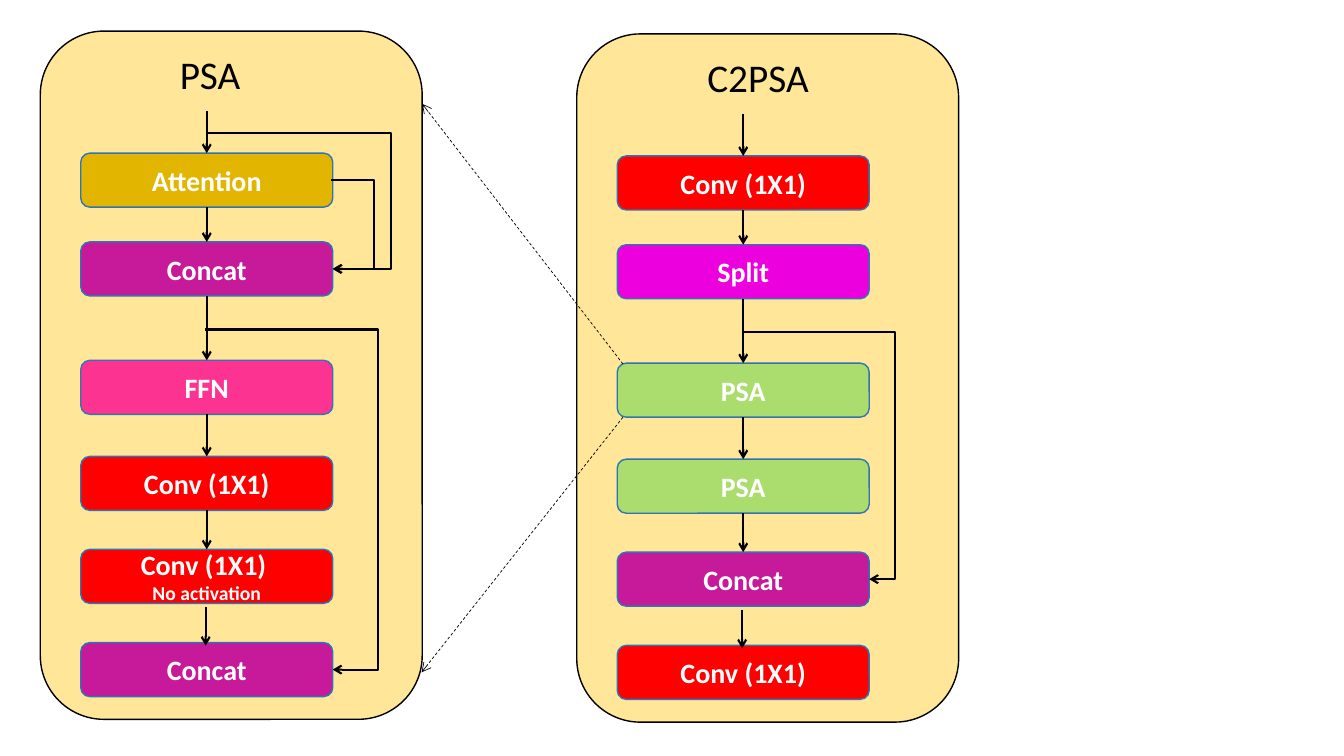
"""Build a slide that shows the PSA and C2PSA blocks side by side."""
from dataclasses import dataclass
from itertools import pairwise

from lxml.etree import SubElement
from pptx import Presentation
from pptx.dml.color import RGBColor
from pptx.enum.dml import MSO_LINE
from pptx.enum.shapes import MSO_CONNECTOR as Link, MSO_SHAPE as Preset
from pptx.enum.text import MSO_ANCHOR as Anchor, PP_ALIGN as Align
from pptx.oxml.ns import qn
from pptx.util import Pt

PANEL_WIDTH, PANEL_HEIGHT = 272.8, 491.6
LAYER_INDENT, LAYER_WIDTH, LAYER_HEIGHT = 28.9, 180, 38.6
TRUNK = LAYER_INDENT + LAYER_WIDTH / 2
LAYER_RIGHT = LAYER_INDENT + LAYER_WIDTH
ROW_TOPS = (87.2, 150.6, 235.2, 303.8, 370.2, 436.8)
CONV, CONCAT, PSA = "FF0000", "C61A9B", "AADC6E"


@dataclass(frozen=True)
class Layer:
    label: str
    color: str
    note: str = ""


@dataclass(frozen=True)
class Skip:
    start_x: float
    start_y: float
    lane: float
    target_row: int


@dataclass(frozen=True)
class Panel:
    title: str
    left: float
    top: float
    title_width: float
    layers: tuple[Layer, ...]
    skips: tuple[Skip, ...]


PANELS = (
    Panel("PSA", 28.8, 22.2, 83.5, (
        Layer("Attention", "E2B500"),
        Layer("Concat", CONCAT),
        Layer("FFN", "FD3392"),
        Layer("Conv (1X1)", CONV),
        Layer("Conv (1X1) ", CONV, "No activation"),
        Layer("Concat", CONCAT),
    ), (
        Skip(TRUNK, 72.8, 250.6, 1),
        Skip(LAYER_RIGHT - 1, ROW_TOPS[0] + LAYER_HEIGHT / 2, 238.6, 1),
        Skip(TRUNK - 1, 213.2, 241.2, 5),
    )),
    Panel("C2PSA", 412, 24.2, 100, (
        Layer("Conv (1X1)", CONV),
        Layer("Split", "EC00DE"),
        Layer("PSA", PSA),
        Layer("PSA", PSA),
        Layer("Concat", CONCAT),
        Layer("Conv (1X1)", CONV),
    ), (Skip(TRUNK - 1, 213.2, 227.4, 4),)),
)


def rgb(value: str) -> RGBColor:
    return RGBColor.from_string(value)


def write(para, text: str, *, size: float, color: str, bold: bool = False) -> None:
    para.alignment = Align.CENTER
    span = para.add_run()
    span.text = text
    span.font.name, span.font.size, span.font.bold = "Calibri", Pt(size), bold
    span.font.color.rgb = rgb(color)


def add_box(page, left: float, top: float, width: float, height: float,
            fill: str, outline: str):
    box = page.shapes.add_shape(Preset.ROUNDED_RECTANGLE,
                                Pt(left), Pt(top), Pt(width), Pt(height))
    box.shadow.inherit = False
    box.fill.solid()
    box.fill.fore_color.rgb = rgb(fill)
    box.line.color.rgb = rgb(outline)
    box.line.width = Pt(1)
    return box


def add_arrow(page, start: tuple[float, float], end: tuple[float, float], *,
              kind=Link.STRAIGHT, weight: float = 1.5, dashed: bool = False):
    arrow = page.shapes.add_connector(kind, *map(Pt, start + end))
    arrow.line.color.rgb = rgb("000000")
    arrow.line.width = Pt(weight)
    if dashed:
        arrow.line.dash_style = MSO_LINE.DASH
    SubElement(arrow.line._get_or_add_ln(), qn("a:tailEnd"), type="arrow")
    SubElement(arrow._element.spPr, qn("a:effectLst"))
    return arrow


def add_layer(page, panel: Panel, layer: Layer, row_top: float):
    box = add_box(page, panel.left + LAYER_INDENT, panel.top + row_top,
                  LAYER_WIDTH, LAYER_HEIGHT, layer.color, "2E75B6")
    frame = box.text_frame
    frame.vertical_anchor = Anchor.MIDDLE
    write(frame.paragraphs[0], layer.label, size=20, color="FFFFFF", bold=True)
    if layer.note:
        write(frame.add_paragraph(), layer.note, size=14, color="FFFFFF", bold=True)
    return box


def add_skip(page, panel: Panel, skip: Skip) -> None:
    target_y = ROW_TOPS[skip.target_row] + LAYER_HEIGHT / 2
    arrow = add_arrow(page, (panel.left + skip.start_x, panel.top + skip.start_y),
                      (panel.left + LAYER_RIGHT, panel.top + target_y), kind=Link.ELBOW)
    bend = (skip.lane - skip.start_x) / (LAYER_RIGHT - skip.start_x)
    guides = arrow._element.spPr.find(qn("a:prstGeom")).get_or_add_avLst()
    SubElement(guides, qn("a:gd"), name="adj1", fmla=f"val {round(bend * 100000)}")


def add_panel(page, panel: Panel) -> None:
    add_box(page, panel.left, panel.top, PANEL_WIDTH, PANEL_HEIGHT, "FFE699", "000000")
    title = page.shapes.add_textbox(Pt(panel.left + 79.5), Pt(panel.top + 10.4),
                                    Pt(panel.title_width), Pt(41.2))
    title.text_frame.word_wrap = True
    write(title.text_frame.paragraphs[0], panel.title, size=28, color="000000")

    boxes = [add_layer(page, panel, layer, row_top)
             for layer, row_top in zip(panel.layers, ROW_TOPS)]
    trunk = panel.left + TRUNK
    entry = add_arrow(page, (trunk, panel.top + 57), (trunk, panel.top + ROW_TOPS[0]))
    entry.end_connect(boxes[0], 0)
    for upper, lower in pairwise(boxes[:-1]):
        arrow = add_arrow(page, (trunk, upper.top.pt), (trunk, lower.top.pt))
        arrow.begin_connect(upper, 2)
        arrow.end_connect(lower, 0)
    add_arrow(page, (trunk - 0.8, panel.top + 411.2), (trunk - 0.8, panel.top + 439))
    for skip in panel.skips:
        add_skip(page, panel, skip)


def main() -> None:
    deck = Presentation()
    deck.slide_width, deck.slide_height = Pt(960), Pt(540)
    page = deck.slides.add_slide(deck.slide_layouts.get_by_name("Blank"))
    for panel in PANELS:
        add_panel(page, panel)
    for start, end in (((445, 260), (301.6, 74.2)), ((445, 298), (301.2, 480.2))):
        add_arrow(page, start, end, weight=0.5, dashed=True)
    deck.save("out.pptx")


if __name__ == "__main__":
    main()
